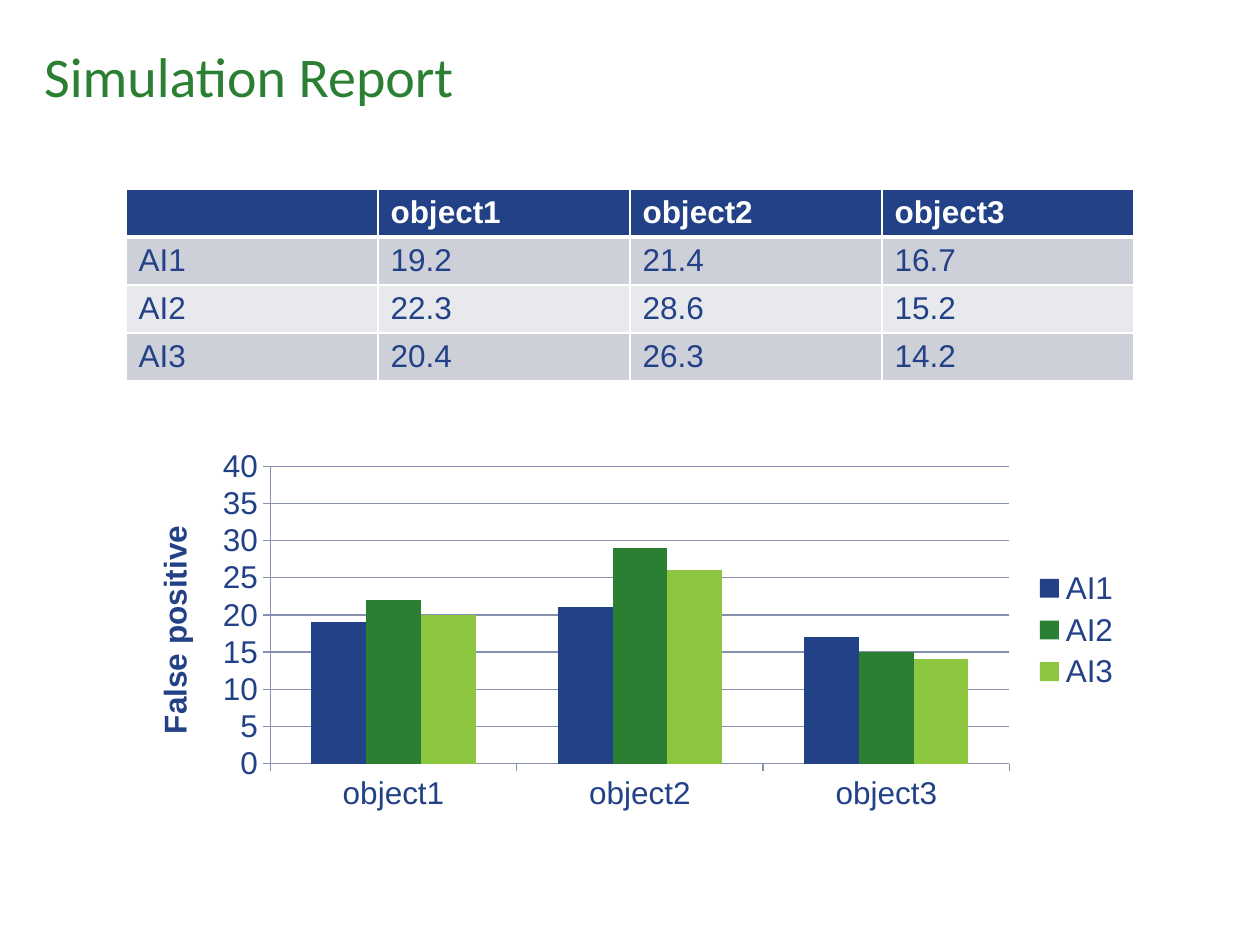
from dataclasses import dataclass

from lxml import etree
from pptx import Presentation
from pptx import util as u
from pptx.chart import data as chart_data
from pptx.dml.color import RGBColor
from pptx.enum import chart as chart_enum, text as text_enum
from pptx.oxml import ns

Pt = u.Pt


@dataclass(frozen=True)
class Theme:
    """Colours, fonts and type sizes of the slide."""
    navy: str = "224186"
    green: str = "2B7F32"
    lime: str = "8DC63F"
    white: str = "FFFFFF"
    bands: tuple = ("CDCFD9", "E8E9ED")
    grid: str = "8790B0"
    heading_font: str = "Calibri"
    body_font: str = "Arial"
    heading_size: int = 32
    body_size: int = 18


THEME = Theme()
OBJECTS = ("object1", "object2", "object3")
RESULTS = {
    "AI1": (19.2, 21.4, 16.7),
    "AI2": (22.3, 28.6, 15.2),
    "AI3": (20.4, 26.3, 14.2),
}


def style_font(font, color=THEME.navy, size=THEME.body_size, name=THEME.body_font, bold=False):
    """Apply a typeface, size, weight and colour to a font."""
    font.name, font.size, font.bold = name, Pt(size), bold
    font.color.rgb = RGBColor.from_string(color)


def write_text(frame, content, **font_format):
    """Write one formatted run into a text frame."""
    run = frame.paragraphs[0].add_run()
    run.text = content
    style_font(run.font, **font_format)


def set_borders(cell, top=1, bottom=1):
    """Draw white borders round a table cell, with widths in points."""
    properties = cell._tc.get_or_add_tcPr()
    for side, width in (("L", 1), ("R", 1), ("T", top), ("B", bottom)):
        line = etree.SubElement(properties, ns.qn(f"a:ln{side}"), w=str(Pt(width)))
        fill = etree.SubElement(line, ns.qn("a:solidFill"))
        etree.SubElement(fill, ns.qn("a:srgbClr"), val=THEME.white)


def add_title(slide, box, content):
    """Place and format the title placeholder."""
    title = slide.shapes.title
    title.left, title.top, title.width, title.height = map(Pt, box)
    frame = title.text_frame
    frame.vertical_anchor = text_enum.MSO_ANCHOR.TOP
    write_text(frame, content, color=THEME.green, size=THEME.heading_size,
               name=THEME.heading_font)
    frame.paragraphs[0].alignment = text_enum.PP_ALIGN.LEFT


def add_results_table(slide, box):
    """Add the table of results by system and object."""
    rows = [("", *OBJECTS)] + [(name, *map(str, values)) for name, values in RESULTS.items()]
    table = slide.shapes.add_table(len(rows), len(rows[0]), *map(Pt, box)).table
    for row_index, row in enumerate(rows):
        header = row_index == 0
        fill = THEME.navy if header else THEME.bands[(row_index - 1) % 2]
        for column_index, content in enumerate(row):
            cell = table.cell(row_index, column_index)
            set_borders(cell, top=3 if row_index == 1 else 1, bottom=3 if header else 1)
            cell.fill.solid()
            cell.fill.fore_color.rgb = RGBColor.from_string(fill)
            write_text(cell.text_frame, content, bold=header,
                       color=THEME.white if header else THEME.navy)


def style_line(line):
    """Give a chart line the grid colour and width."""
    line.color.rgb = RGBColor.from_string(THEME.grid)
    line.width = Pt(0.75)


def add_results_chart(slide, box):
    """Add the clustered column chart of rounded false positives."""
    results = chart_data.CategoryChartData()
    results.categories = OBJECTS
    for name, values in RESULTS.items():
        results.add_series(name, [round(value) for value in values])
    chart = slide.shapes.add_chart(
        chart_enum.XL_CHART_TYPE.COLUMN_CLUSTERED, *map(Pt, box), results).chart
    style_font(chart.font)
    chart.has_title = False
    chart.has_legend = True
    chart.legend.position = chart_enum.XL_LEGEND_POSITION.RIGHT
    chart.legend.include_in_layout = False

    plot = chart.plots[0]
    plot.vary_by_categories = False
    plot.gap_width, plot.overlap = 150, 0
    for series, color in zip(plot.series, (THEME.navy, THEME.green, THEME.lime)):
        series.format.fill.solid()
        series.format.fill.fore_color.rgb = RGBColor.from_string(color)

    for axis in (chart.category_axis, chart.value_axis):
        axis.major_tick_mark = chart_enum.XL_TICK_MARK.OUTSIDE
        axis.minor_tick_mark = chart_enum.XL_TICK_MARK.NONE
        style_line(axis.format.line)
    value_axis = chart.value_axis
    value_axis.minimum_scale, value_axis.maximum_scale, value_axis.major_unit = 0, 40, 5
    value_axis.has_major_gridlines = True
    style_line(value_axis.major_gridlines.format.line)
    value_axis.tick_labels.number_format = "General"
    value_axis.tick_labels.number_format_is_linked = False
    write_text(value_axis.axis_title.text_frame, "False positive", bold=True)


def main():
    """Build the slide and save it."""
    presentation = Presentation()
    presentation.slide_width, presentation.slide_height = Pt(720), Pt(540)
    slide = presentation.slides.add_slide(presentation.slide_layouts[5])
    add_title(slide, (18, 20, 684, 55.5), "Simulation Report")
    add_results_table(slide, (72, 108, 576, 109.6))
    add_results_chart(slide, (72, 252, 576, 216))
    presentation.save("out.pptx")


if __name__ == "__main__":
    main()
